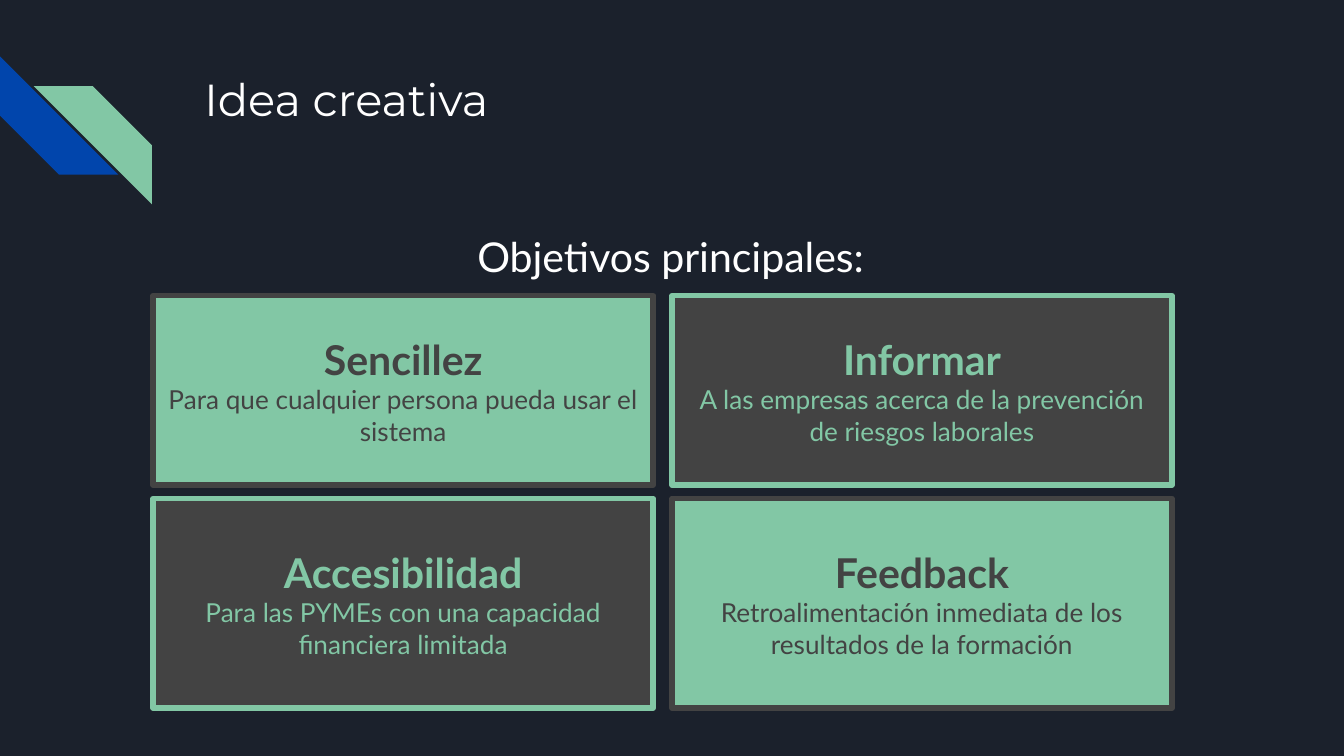
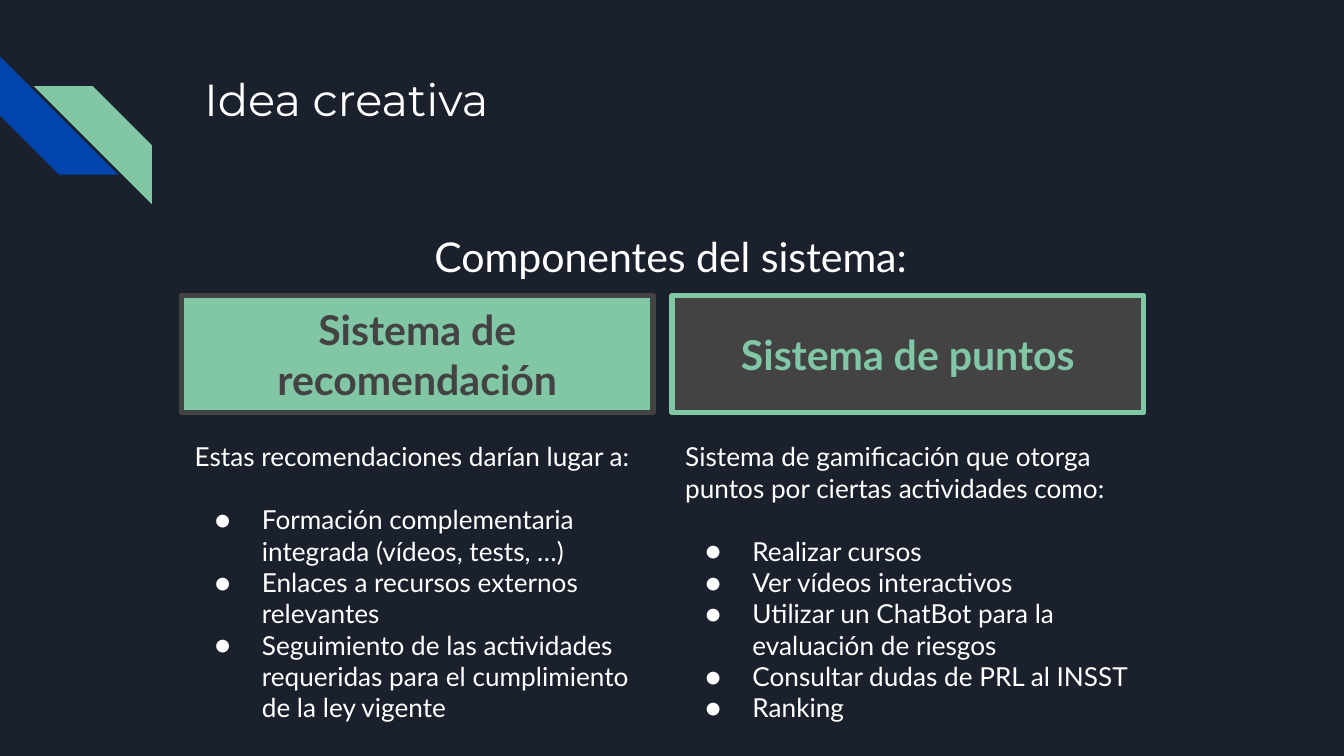
from dataclasses import dataclass

from lxml.etree import SubElement
from pptx import Presentation
from pptx.dml.color import RGBColor as Color
from pptx.enum.shapes import MSO_SHAPE as Preset
from pptx.enum.text import MSO_ANCHOR as Anchor, MSO_AUTO_SIZE as AutoSize, PP_ALIGN as Align
from pptx.oxml.ns import qn
from pptx.util import Inches, Pt


@dataclass(frozen=True)
class Theme:
    """Colours, fonts, type sizes and shared measures of the deck."""
    night: str = "1B212C"
    blue: str = "0145AC"
    mint: str = "82C7A5"
    grey: str = "434343"
    white: str = "FFFFFF"
    title_font: str = "Montserrat"
    body_font: str = "Lato"
    title_size: float = 24
    heading_size: float = 22
    text_size: float = 14
    list_gap: float = 16.8
    border: float = 3
    inset: float = 0.1
    right_column: float = 5
    column_gap: float = 0.14
    row_gap: float = 0.1
    cards_top: float = 2.2
    text_top: float = 3.18


THEME = Theme()

OBJECTIVES = [
    (1.41, [("Sencillez", "Para que cualquier persona pueda usar el sistema"),
            ("Informar", "A las empresas acerca de la prevención de riesgos laborales")]),
    (1.56, [("Accesibilidad", "Para las PYMEs con una capacidad financiera limitada"),
            ("Feedback", "Retroalimentación inmediata de los resultados de la formación")]),
]

COMPONENTS = [
    ("Sistema de recomendación", "Estas recomendaciones darían lugar a:",
     ["Formación complementaria integrada (vídeos, tests, …)",
      "Enlaces a recursos externos relevantes",
      "Seguimiento de las actividades requeridas para el cumplimiento de la ley vigente"]),
    ("Sistema de puntos", "Sistema de gamificación que otorga puntos por ciertas actividades como:",
     ["Realizar cursos",
      "Ver vídeos interactivos",
      "Utilizar un ChatBot para la evaluación de riesgos",
      "Consultar dudas de PRL al INSST",
      "Ranking"]),
]


def color(value):
    """Turn a hex string into a colour."""
    return Color.from_string(value)


def column_left(column, width):
    """Give the left edge of one of two columns."""
    return THEME.right_column - (1 - column) * (width + THEME.column_gap)


def prepare_frame(shape, anchor=Anchor.TOP):
    """Set wrapping, insets and anchor, and return the text frame."""
    frame = shape.text_frame
    frame.word_wrap = True
    frame.auto_size = AutoSize.NONE
    frame.vertical_anchor = anchor
    frame.margin_left = frame.margin_right = Inches(THEME.inset)
    frame.margin_top = frame.margin_bottom = Inches(THEME.inset)
    return frame


def add_span(para, text, size, ink, font=THEME.body_font, bold=False):
    """Add a formatted run to a paragraph."""
    span = para.add_run()
    span.text = text
    span.font.name = font
    span.font.size = Pt(size)
    span.font.bold = bold
    span.font.color.rgb = color(ink)


def add_bullet(para):
    """Give a paragraph a white round bullet with a hanging indent."""
    props = para._p.get_or_add_pPr()
    props.set("marL", str(Inches(0.5)))
    props.set("indent", str(Inches(-0.35)))
    tint = SubElement(props, qn("a:buClr"))
    SubElement(tint, qn("a:srgbClr"), val=THEME.white)
    SubElement(props, qn("a:buSzPts"), val=str(THEME.text_size * 100))
    SubElement(props, qn("a:buFont"), typeface=THEME.body_font)
    SubElement(props, qn("a:buChar"), char="●")


def add_block(page, preset, place, fill):
    """Add a filled preset shape without line or shadow."""
    block = page.shapes.add_shape(preset, *map(Inches, place))
    block.shadow.inherit = False
    block.fill.solid()
    block.fill.fore_color.rgb = color(fill)
    block.line.fill.background()
    return block


def add_text_box(page, *place):
    """Add an empty text box and return its frame."""
    return prepare_frame(page.shapes.add_textbox(*map(Inches, place)))


def add_card(page, place, on_mint, heading, detail=None):
    """Add a bordered card with a bold heading and optional detail."""
    fill, ink = (THEME.mint, THEME.grey) if on_mint else (THEME.grey, THEME.mint)
    card = add_block(page, Preset.RECTANGLE, place, fill)
    card.line.color.rgb = color(ink)
    card.line.width = Pt(THEME.border)
    frame = prepare_frame(card, Anchor.MIDDLE)
    para = frame.paragraphs[0]
    para.alignment = Align.CENTER
    add_span(para, heading, THEME.heading_size, ink, bold=True)
    if detail:
        para = frame.add_paragraph()
        para.alignment = Align.CENTER
        add_span(para, detail, THEME.text_size, ink)


def add_list(page, place, intro, items):
    """Add an introductory line followed by a bulleted list."""
    frame = add_text_box(page, *place)
    add_span(frame.paragraphs[0], intro, THEME.text_size, THEME.white)
    for index, item in enumerate(items):
        para = frame.add_paragraph()
        add_bullet(para)
        para.space_before = Pt(0 if index else THEME.list_gap)
        add_span(para, item, THEME.text_size, THEME.white)


def add_page(deck, title, subtitle):
    """Add a page with corner stripes, title and centred subtitle."""
    page = deck.slides.add_slide(deck.slide_layouts[5])
    for left, top, turn, fill in [(0, 0.42, 270, THEME.blue), (0.25, 0.64, 90, THEME.mint)]:
        stripe = add_block(page, Preset.DIAGONAL_STRIPE, (left, top, 0.88, 0.88), fill)
        stripe.rotation = turn
    holder = page.shapes.title
    holder.left, holder.top, holder.width, holder.height = map(Inches, (1.42, 0.43, 7.7, 1))
    para = prepare_frame(holder).paragraphs[0]
    para.alignment = Align.LEFT
    add_span(para, title, THEME.title_size, THEME.white, THEME.title_font)
    para = add_text_box(page, 1.14, 1.57, 7.7, 3.18).paragraphs[0]
    para.alignment = Align.CENTER
    para.line_spacing = 1.15
    add_span(para, subtitle, THEME.heading_size, THEME.white)
    return page


def add_objectives(deck):
    """Build the page with the grid of objectives."""
    page = add_page(deck, "Idea creativa", "Objetivos principales:")
    width, top = 3.72, THEME.cards_top
    for row, (height, cards) in enumerate(OBJECTIVES):
        for column, (heading, detail) in enumerate(cards):
            place = (column_left(column, width), top, width, height)
            add_card(page, place, row == column, heading, detail)
        top += height + THEME.row_gap


def add_components(deck):
    """Build the page with the two system components."""
    page = add_page(deck, "Idea creativa", "Componentes del sistema:")
    width = 3.51
    for column, (heading, intro, items) in enumerate(COMPONENTS):
        left = column_left(column, width)
        add_card(page, (left, THEME.cards_top, width, 0.87), column == 0, heading)
        add_list(page, (left, THEME.text_top, width, 2.32), intro, items)


def main():
    """Build and save the deck."""
    deck = Presentation()
    deck.slide_width = Inches(10)
    deck.slide_height = Inches(10 * 9 / 16)
    backdrop = deck.slide_master.background.fill
    backdrop.solid()
    backdrop.fore_color.rgb = color(THEME.night)
    add_objectives(deck)
    add_components(deck)
    deck.save("out.pptx")


if __name__ == "__main__":
    main()
